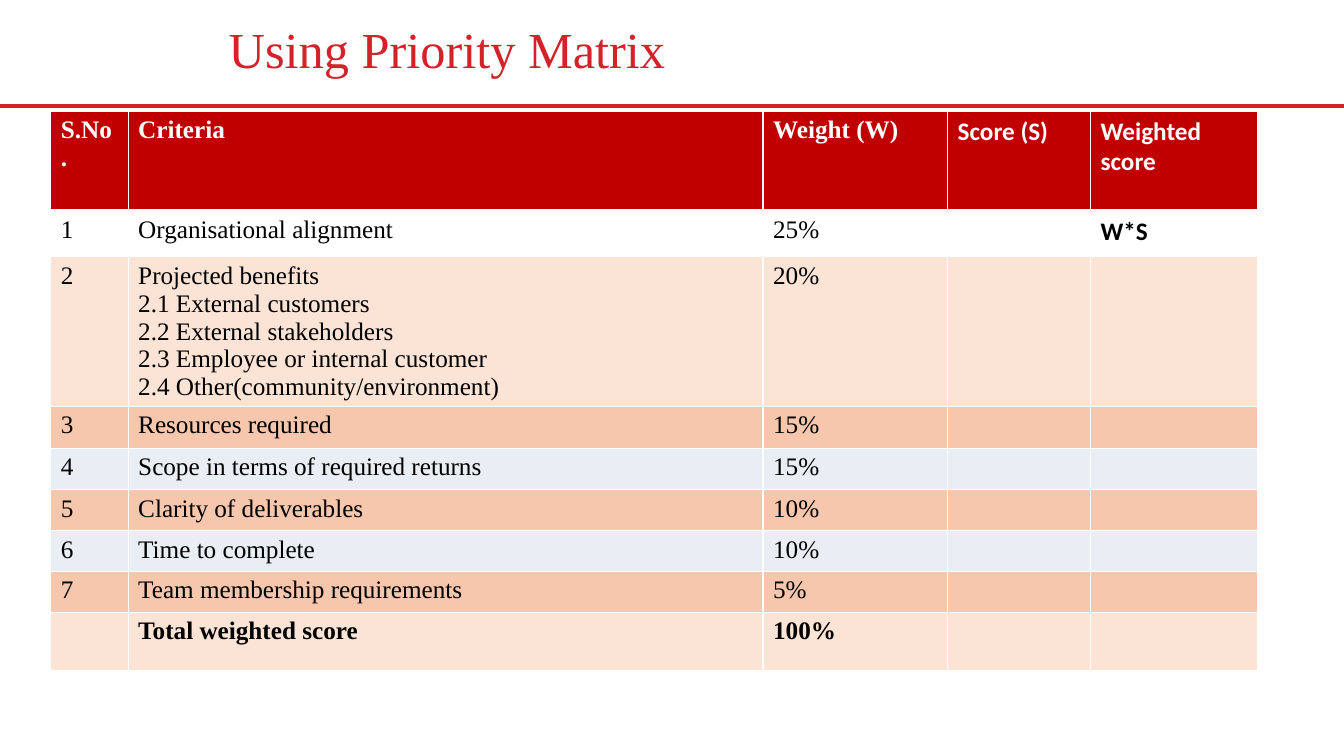
from lxml.etree import SubElement
from pptx import Presentation
from pptx.dml.color import RGBColor
from pptx.enum.shapes import MSO_CONNECTOR
from pptx.enum.text import MSO_ANCHOR, PP_ALIGN
from pptx.oxml.ns import qn
from pptx.util import Cm, Pt

RED = RGBColor(0xD4, 0x22, 0x2A)
DARK = RGBColor(0xC0, 0x00, 0x00)
WHITE = RGBColor(0xFF, 0xFF, 0xFF)
BLACK = RGBColor(0x00, 0x00, 0x00)
PALE = RGBColor(0xFB, 0xE3, 0xD6)
PEACH = RGBColor(0xF6, 0xC6, 0xAD)
GREY = RGBColor(0xE9, 0xED, 0xF4)

SERIF, SANS = "Times New Roman", "Calibri"
TITLE = "Using Priority Matrix"
BENEFITS = "\n".join([
    "Projected benefits",
    "2.1 External customers",
    "2.2 External stakeholders",
    "2.3 Employee or internal customer",
    "2.4 Other(community/environment)",
])
WIDTHS = [1.95, 16.0, 4.65, 3.6, 4.22]
# Row height in cm, fill, cell texts
ROWS = [
    (2.52, DARK, ["S.No.", "Criteria", "Weight (W)", "Score (S)", "Weighted score"]),
    (1.15, WHITE, ["1", "Organisational alignment", "25%", "", "W*S"]),
    (3.76, PALE, ["2", BENEFITS, "20%", "", ""]),
    (1.06, PEACH, ["3", "Resources required", "15%", "", ""]),
    (1.04, GREY, ["4", "Scope in terms of required returns", "15%", "", ""]),
    (1.03, PEACH, ["5", "Clarity of deliverables", "10%", "", ""]),
    (1.03, GREY, ["6", "Time to complete", "10%", "", ""]),
    (1.03, PEACH, ["7", "Team membership requirements", "5%", "", ""]),
    (1.48, PALE, ["", "Total weighted score", "100%", "", ""]),
]
LAST = len(ROWS) - 1


def style(para, face, size, color, bold=False):
    for run in para.runs:
        font = run.font
        font.name, font.size, font.bold = face, Pt(size), bold
        font.color.rgb = color


def border(cell, top, base):
    """Give a cell white edges; top and base are widths in points."""
    props = cell._tc.get_or_add_tcPr()
    for side, width in (("L", 1), ("R", 1), ("T", top), ("B", base)):
        line = SubElement(props, qn("a:ln" + side), w=str(Pt(width)))
        fill = SubElement(line, qn("a:solidFill"))
        SubElement(fill, qn("a:srgbClr"), val=str(WHITE))


def add_title(slide):
    title = slide.shapes.title
    title.left, title.top = Cm(5.51), Cm(0.25)
    title.width, title.height = Cm(28.22), Cm(2.13)
    frame = title.text_frame
    frame.text = TITLE
    frame.vertical_anchor = MSO_ANCHOR.MIDDLE
    para = frame.paragraphs[0]
    para.alignment = PP_ALIGN.LEFT
    para.line_spacing = 0.9
    style(para, SERIF, 36, RED)


def add_rule(slide, width):
    rule = slide.shapes.add_connector(
        MSO_CONNECTOR.STRAIGHT, 0, Cm(2.67), width, Cm(2.67))
    rule.line.color.rgb = RED
    rule.line.width = Pt(3)
    SubElement(rule._element.spPr, qn("a:effectLst"))


def add_matrix(slide):
    high = sum(row[0] for row in ROWS)
    table = slide.shapes.add_table(
        len(ROWS), len(WIDTHS), Cm(1.28), Cm(2.8),
        Cm(sum(WIDTHS)), Cm(high)).table
    for col, width in zip(table.columns, WIDTHS):
        col.width = Cm(width)
    for r, (height, fill, texts) in enumerate(ROWS):
        table.rows[r].height = Cm(height)
        for c, text in enumerate(texts):
            cell = table.cell(r, c)
            border(cell, 3 if r == 1 else 1, 3 if r == 0 else 1)
            cell.fill.solid()
            cell.fill.fore_color.rgb = fill
            cell.text_frame.text = text
            face = SANS if c > 2 else SERIF
            bold = r in (0, LAST) or c > 2
            for para in cell.text_frame.paragraphs:
                style(para, face, 18, BLACK if r else WHITE, bold)


def main():
    deck = Presentation()
    deck.slide_width, deck.slide_height = Cm(33.87), Cm(19.05)
    slide = deck.slides.add_slide(deck.slide_layouts[5])
    add_rule(slide, deck.slide_width)
    add_title(slide)
    add_matrix(slide)
    deck.save("out.pptx")


if __name__ == "__main__":
    main()
